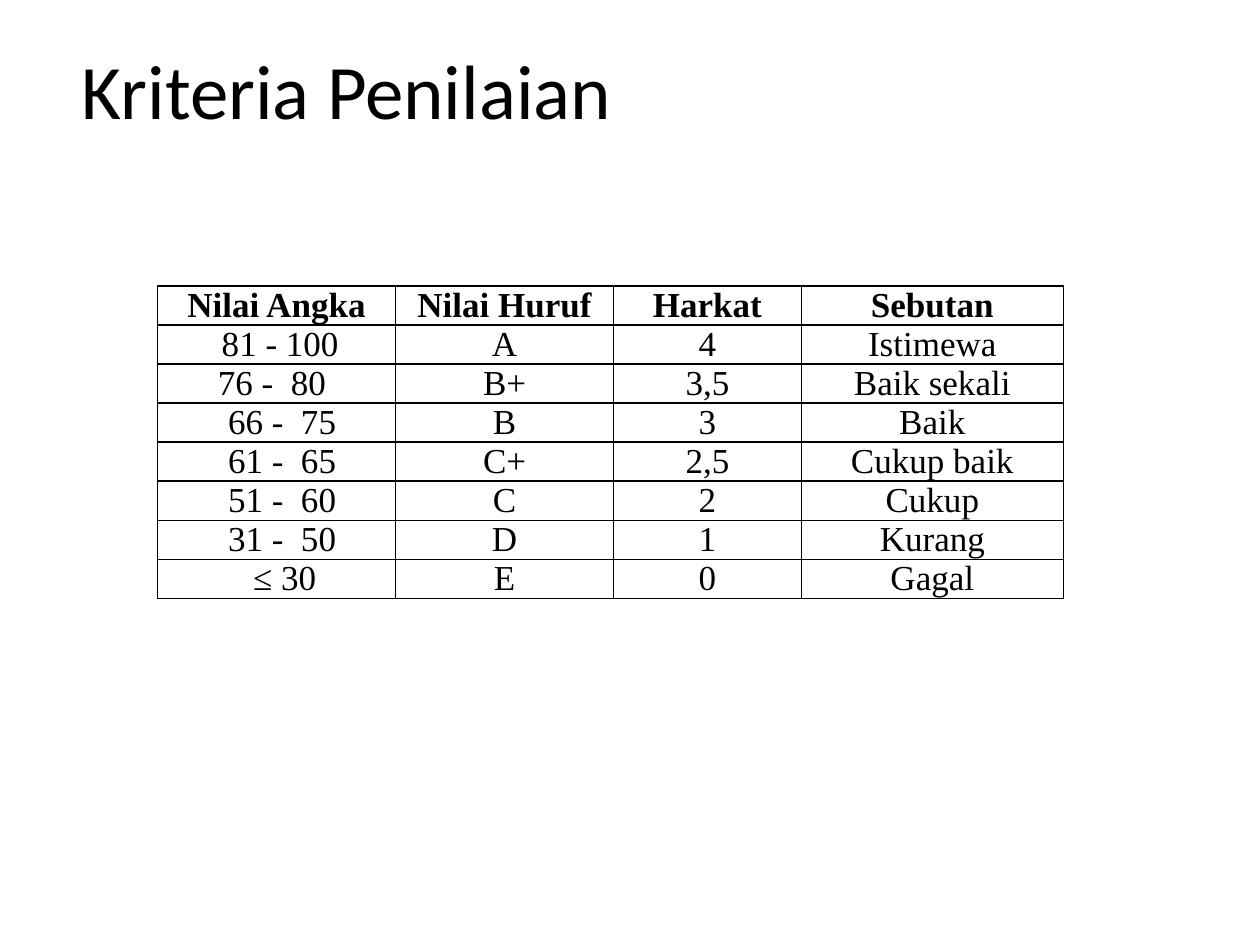
"""Build the grading criteria slide with its score table."""
import pptx
import pptx.dml.color
import pptx.enum.text
import pptx.oxml
import pptx.oxml.ns
import pptx.util

Inches = pptx.util.Inches
Pt = pptx.util.Pt
ALIGN = pptx.enum.text.PP_ALIGN
BLACK = pptx.dml.color.RGBColor(0, 0, 0)
COLUMNS = [1.89, 1.73, 1.49, 2.08]
ROW_HEIGHT = 0.31
GRADES = [
    ("Nilai Angka", "Nilai Huruf", "Harkat", "Sebutan"),
    ("81 - 100", "A", "4", "Istimewa"),
    ("76 -  80", "B+", "3,5", "Baik sekali"),
    ("66 -  75", "B", "3", "Baik"),
    ("61 -  65", "C+", "2,5", "Cukup baik"),
    ("51 -  60", "C", "2", "Cukup"),
    ("31 -  50", "D", "1", "Kurang"),
    ("≤ 30", "E", "0", "Gagal"),
]
SCORE_INDENTS = [0, 0.44, 0.41, 0.49, 0.49, 0.49, 0.49, 0.69]


def add_borders(cell):
    properties = cell._tc.get_or_add_tcPr()
    for position, side in enumerate(("lnL", "lnR", "lnT", "lnB")):
        border = pptx.oxml.parse_xml(
            f'<a:{side} {pptx.oxml.ns.nsdecls("a")} w="{Pt(1)}">'
            f'<a:solidFill><a:srgbClr val="{BLACK}"/></a:solidFill></a:{side}>'
        )
        properties.insert(position, border)


deck = pptx.Presentation()
deck.slide_width, deck.slide_height = Inches(10), Inches(7.5)
page = deck.slides.add_slide(deck.slide_layouts[5])

title = page.shapes.title
title.left, title.top = Inches(0.55), Inches(0.08)
title.width, title.height = Inches(9), Inches(1.25)
title.text_frame.text = "Kriteria Penilaian"
title.text_frame.vertical_anchor = pptx.enum.text.MSO_ANCHOR.MIDDLE
heading = title.text_frame.paragraphs[0]
heading.alignment = ALIGN.LEFT
heading.font.name, heading.font.size = "Calibri", Pt(44)
heading.font.color.rgb = BLACK

table = page.shapes.add_table(
    len(GRADES), len(COLUMNS), Inches(1.25), Inches(2.27),
    Inches(sum(COLUMNS)), Inches(ROW_HEIGHT * len(GRADES)),
).table
table.horz_banding = False
for column, width in zip(table.columns, COLUMNS):
    column.width = Inches(width)

for row_index, grade in enumerate(GRADES):
    table.rows[row_index].height = Inches(ROW_HEIGHT)
    for column_index, wording in enumerate(grade):
        cell = table.cell(row_index, column_index)
        cell.margin_left = cell.margin_right = Inches(0.07)
        cell.margin_top = cell.margin_bottom = 0
        cell.fill.background()
        add_borders(cell)
        cell.text = wording
        para = cell.text_frame.paragraphs[0]
        para.alignment = ALIGN.CENTER
        if column_index == 0 and row_index > 0:
            para.alignment = ALIGN.LEFT
            para._p.get_or_add_pPr().set("marL", str(Inches(SCORE_INDENTS[row_index])))
        para.font.name, para.font.size = "Times New Roman", Pt(20)
        para.font.bold = row_index == 0
        para.font.color.rgb = BLACK

deck.save("out.pptx")
